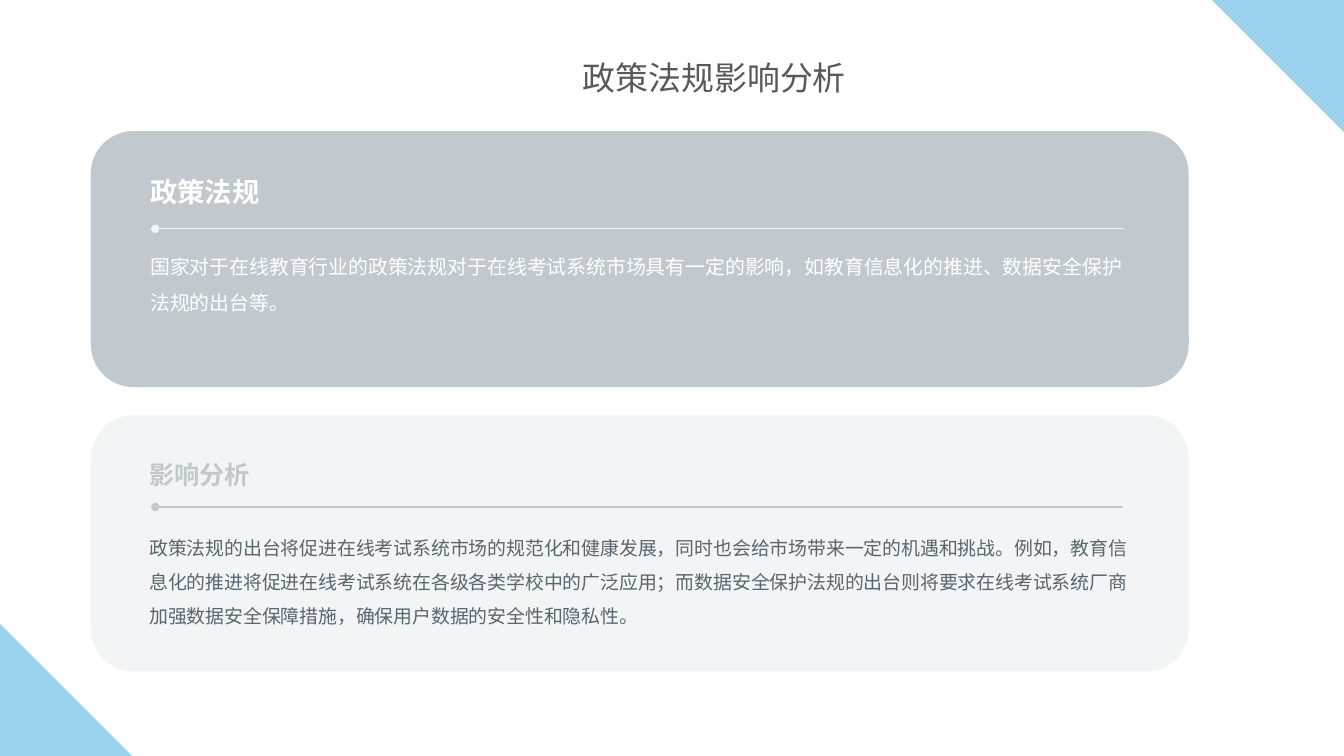
"""Build a slide on the impact of policies and regulations."""
from lxml.etree import SubElement
from pptx import Presentation
from pptx.dml.color import RGBColor
from pptx.enum.shapes import MSO_CONNECTOR as Connector, MSO_SHAPE as Shape
from pptx.enum.text import MSO_ANCHOR as Anchor
from pptx.oxml.ns import qn
from pptx.util import Inches, Pt

FONT = "Noto Sans CJK SC"
COLORS = {
    "sky": "9BD3EF",
    "gray": "C1C9CE",
    "pale": "F3F4F5",
    "white": "FFFFFF",
    "slate": "58666F",
    "title": "595959",
}
CARD_INSETS = (0.14, 0.14, 0.06, 0.14)
TITLE_INSETS = (0.1, 0.05, 0.1, 0.05)

POLICY = "国家对于在线教育行业的政策法规对于在线考试系统市场具有一定的影响，如教育信息化的推进、数据安全保护法规的出台等。"
IMPACT = (
    "政策法规的出台将促进在线考试系统市场的规范化和健康发展，同时也会给市场带来一定的机遇和挑战。"
    "例如，教育信息化的推进将促进在线考试系统在各级各类学校中的广泛应用；"
    "而数据安全保护法规的出台则将要求在线考试系统厂商加强数据安全保障措施，确保用户数据的安全性和隐私性。"
)


def color(name):
    return RGBColor.from_string(COLORS[name])


def add_block(page, kind, area, fill):
    block = page.shapes.add_shape(kind, *map(Inches, area))
    block.shadow.inherit = False
    block.fill.solid()
    block.fill.fore_color.rgb = color(fill)
    block.line.fill.background()
    return block


def add_text(page, area, text, size, ink, bold=False, spacing=1.5, insets=CARD_INSETS):
    frame = page.shapes.add_textbox(*map(Inches, area)).text_frame
    frame.word_wrap = True
    frame.vertical_anchor = Anchor.TOP
    (frame.margin_left, frame.margin_top,
     frame.margin_right, frame.margin_bottom) = map(Inches, insets)
    para = frame.paragraphs[0]
    para.text = text
    para.line_spacing = spacing
    font = para.font
    font.name, font.size, font.bold = FONT, Pt(size), bold
    font.color.rgb = color(ink)
    defaults = para._p.pPr.find(qn("a:defRPr"))
    SubElement(defaults, qn("a:ea"), typeface=FONT)


def add_rule(page, left, right, y, ink):
    rule = page.shapes.add_connector(
        Connector.STRAIGHT, Inches(left), Inches(y), Inches(right), Inches(y))
    rule.line.color.rgb = color(ink)
    rule.line.width = Pt(0.75)
    SubElement(rule.line._get_or_add_ln(), qn("a:headEnd"), type="oval")
    SubElement(rule._element.spPr, qn("a:effectLst"))


def main():
    deck = Presentation()
    deck.slide_width, deck.slide_height = Inches(13.33), Inches(7.5)
    page = deck.slides.add_slide(deck.slide_layouts[6])

    add_block(page, Shape.RIGHT_TRIANGLE, (0, 6.19, 1.31, 1.31), "sky")
    corner = add_block(page, Shape.RIGHT_TRIANGLE, (12.02, 0, 1.31, 1.31), "sky")
    corner.rotation = 180

    add_block(page, Shape.ROUNDED_RECTANGLE, (0.9, 1.3, 10.89, 2.54), "gray")
    add_text(page, (1.35, 2.27, 9.98, 1.4), POLICY, 14.2, "white")
    add_text(page, (1.35, 1.44, 9.81, 0.89), "政策法规", 19.5, "white", bold=True)
    add_rule(page, 1.54, 11.15, 2.27, "pale")

    add_block(page, Shape.ROUNDED_RECTANGLE, (0.9, 4.12, 10.89, 2.54), "pale")
    add_text(page, (1.34, 5.07, 9.98, 1.38), IMPACT, 13.5, "slate")
    add_text(page, (1.34, 4.27, 10.08, 0.75), "影响分析", 18, "gray", bold=True)
    add_rule(page, 1.54, 11.14, 5.03, "gray")

    add_text(page, (5.68, 0.6, 2.83, 0.57), "政策法规影响分析", 23.5, "title",
             spacing=0.8, insets=TITLE_INSETS)
    deck.save("out.pptx")


if __name__ == "__main__":
    main()
